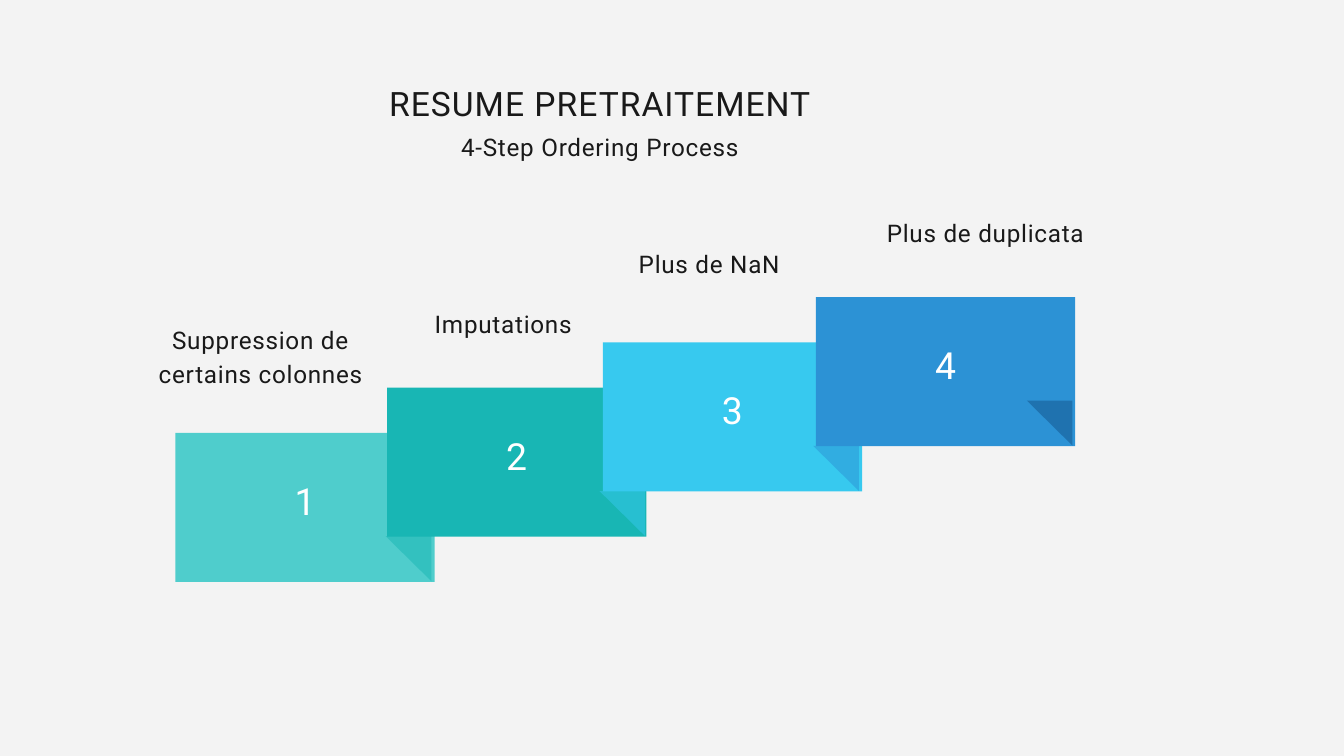
from dataclasses import dataclass

from lxml.etree import SubElement
from pptx import Presentation
from pptx.dml.color import RGBColor
from pptx.enum.shapes import MSO_SHAPE
from pptx.enum.text import MSO_ANCHOR, MSO_AUTO_SIZE, PP_ALIGN
from pptx.oxml.ns import qn
from pptx.util import Inches, Pt


@dataclass(frozen=True)
class TextStyle:
    size: float
    leading: float
    tracking: float
    color: str


@dataclass(frozen=True)
class Theme:
    font: str = "Roboto"
    background: str = "F3F3F3"
    panels: tuple = ("4FCDCC", "18B6B4", "37C9EF", "2C92D5")
    last_fold: str = "13538A"
    title: TextStyle = TextStyle(36, 47.2, 1.1, "191919")
    label: TextStyle = TextStyle(26, 36.4, 0.8, "191919")
    number: TextStyle = TextStyle(40, 56, 2, "FFFFFF")


THEME = Theme()

# Staircase geometry, in inches
PANEL_W, PANEL_H = 3.86, 2.22
PANEL_LEFTS = (2.61, 5.76, 8.97, 12.14)
FIRST_TOP, RISE = 6.44, 0.673
FIRST_FOLD_LEFT, FOLD_STEP = 5.74, 3.18
FOLD_DROP, FOLD_W, FOLD_H = 1.54, 0.68, 0.67
NUMBER_LIFT = 0.32

# Step labels: text, left, top, width, height
LABELS = (
    ("Suppression de certains colonnes", 2.23, 4.77, 3.3, 0.99),
    ("Imputations", 6.46, 4.53, 2.06, 0.49),
    ("Plus de NaN", 8.97, 3.64, 3.17, 0.49),
    ("Plus de duplicata ", 12.76, 3.17, 3.91, 0.49),
)


def paint(s, color, alpha=None):
    """Flat fill with no line or shadow, optionally see-through."""
    s.shadow.inherit = False
    s.line.fill.background()
    s.fill.solid()
    s.fill.fore_color.rgb = RGBColor.from_string(color)
    if alpha is not None:
        clr = s.fill._xPr.find(qn("a:solidFill"))[0]
        SubElement(clr, qn("a:alpha")).set("val", str(alpha * 1000))


def add_text(slide, text, left, top, width, height, style, inset=0):
    s = slide.shapes.add_textbox(
        Inches(left), Inches(top), Inches(width), Inches(height))
    tf = s.text_frame
    tf.word_wrap = True
    tf.margin_left = tf.margin_right = Inches(inset)
    tf.margin_top = tf.margin_bottom = Inches(inset)
    tf.text = text
    p = tf.paragraphs[0]
    p.alignment = PP_ALIGN.CENTER
    p.line_spacing = Pt(style.leading)
    r = p.runs[0]
    r.font.name = THEME.font
    r.font.size = Pt(style.size)
    r.font.color.rgb = RGBColor.from_string(style.color)
    r.font._element.set("spc", str(round(style.tracking * 100)))
    return tf


def add_label(slide, text, left, top, width, height, style):
    tf = add_text(slide, text, left, top, width, height, style)
    tf.auto_size = MSO_AUTO_SIZE.SHAPE_TO_FIT_TEXT


def add_panel(slide, number, left, top, color):
    s = slide.shapes.add_shape(
        MSO_SHAPE.RECTANGLE,
        Inches(left), Inches(top), Inches(PANEL_W), Inches(PANEL_H))
    paint(s, color)
    tf = add_text(slide, str(number), left, top - NUMBER_LIFT,
                  PANEL_W, PANEL_H + NUMBER_LIFT, THEME.number, inset=0.06)
    tf.vertical_anchor = MSO_ANCHOR.MIDDLE


def add_fold(slide, left, top, color):
    right, bottom = left + FOLD_W, top + FOLD_H
    fb = slide.shapes.build_freeform(Inches(left), Inches(top))
    fb.add_line_segments([(Inches(right), Inches(top)),
                          (Inches(right), Inches(bottom))], close=True)
    paint(fb.convert_to_shape(), color, alpha=50)


def main():
    prs = Presentation()
    prs.slide_width, prs.slide_height = Inches(20), Inches(11.25)
    slide = prs.slides.add_slide(prs.slide_layouts[6])
    slide.background.fill.solid()
    slide.background.fill.fore_color.rgb = RGBColor.from_string(THEME.background)

    # Rising panels
    tops = [FIRST_TOP - i * RISE for i in range(len(PANEL_LEFTS))]
    for i, (left, top, color) in enumerate(zip(PANEL_LEFTS, tops, THEME.panels)):
        add_panel(slide, i + 1, left, top, color)

    # Corner folds, each tinted with the next panel's colour
    fold_colors = THEME.panels[1:] + (THEME.last_fold,)
    for i, (top, color) in enumerate(zip(tops, fold_colors)):
        add_fold(slide, FIRST_FOLD_LEFT + i * FOLD_STEP, top + FOLD_DROP, color)

    # Step labels
    for label in LABELS:
        add_label(slide, *label, THEME.label)

    # Heading
    add_label(slide, "4-Step Ordering Process", 2.81, 1.89, 12.24, 0.47, THEME.label)
    add_label(slide, "RESUME PRETRAITEMENT", 2.81, 1.18, 12.24, 0.63, THEME.title)

    prs.save("out.pptx")


if __name__ == "__main__":
    main()
